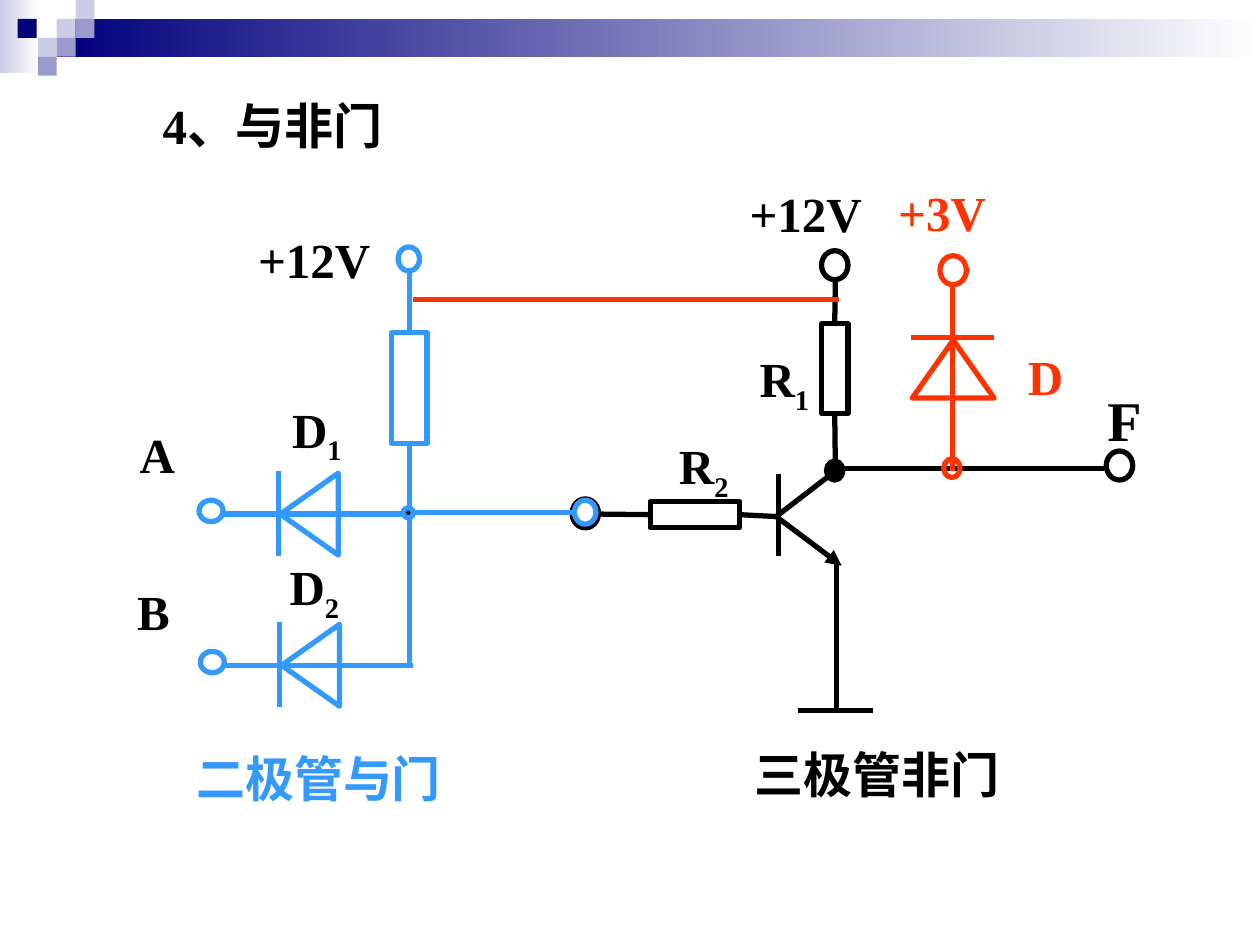
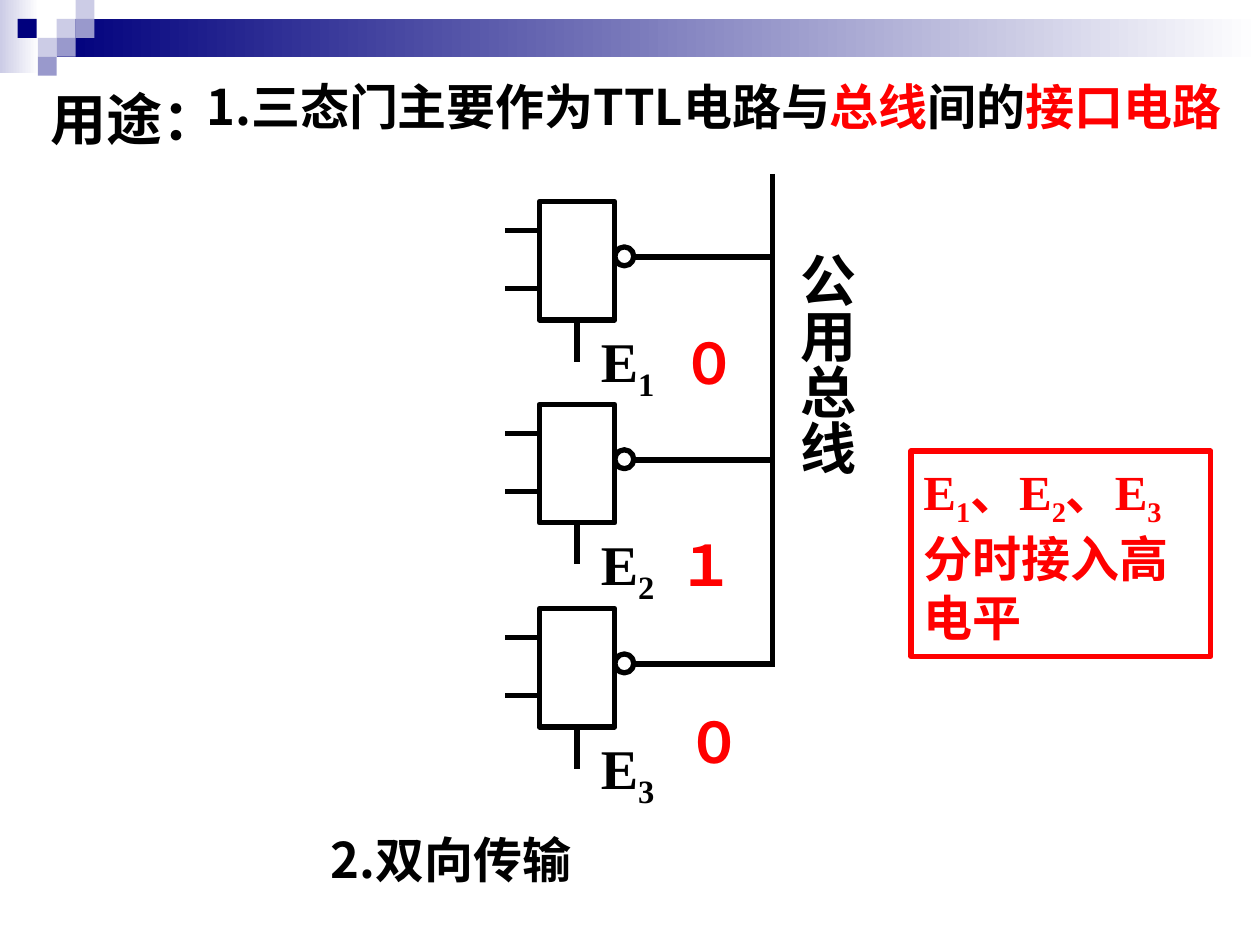
from lxml import etree
from pptx import Presentation
from pptx.dml.color import RGBColor
from pptx.enum.shapes import MSO_CONNECTOR, MSO_SHAPE
from pptx.enum.text import MSO_ANCHOR, MSO_AUTO_SIZE, PP_ALIGN
from pptx.oxml.ns import qn
from pptx.util import Inches, Pt

RECTANGLE, ELLIPSE, TRIANGLE = MSO_SHAPE.RECTANGLE, MSO_SHAPE.OVAL, MSO_SHAPE.ISOSCELES_TRIANGLE
STRAIGHT = MSO_CONNECTOR.STRAIGHT
TOP, MIDDLE = MSO_ANCHOR.TOP, MSO_ANCHOR.MIDDLE
LEFT, CENTER = PP_ALIGN.LEFT, PP_ALIGN.CENTER
FIXED = MSO_AUTO_SIZE.NONE
SIDE_TOP, SIDE_LEFT, SIDE_BOTTOM, SIDE_RIGHT = range(4)

COLORS = {
    "black": "000000", "white": "FFFFFF", "blue": "3399FF", "orange": "FF3300",
    "red": "FF0000", "navy": "00007D", "violet": "9999CC", "pale": "CCCCE6",
}
SERIF, SANS = "Times New Roman", "Noto Sans CJK SC"
SUB = "subscript"


def rgb(name):
    return RGBColor.from_string(COLORS[name])


class CircuitDeck:
    def __init__(self):
        self.presentation = Presentation()
        self.presentation.slide_width = Inches(10)
        self.presentation.slide_height = Inches(7.5)
        self.layout = self.presentation.slide_layouts[5]
        self.slide = None

    def new_slide(self):
        self.slide = self.presentation.slides.add_slide(self.layout)

    def shape(self, kind, box, line=None, fill=None, rotation=0):
        shape = self.slide.shapes.add_shape(kind, *map(Inches, box))
        shape.shadow.inherit = False
        shape.rotation = rotation
        if fill:
            shape.fill.solid()
            shape.fill.fore_color.rgb = rgb(fill)
        else:
            shape.fill.background()
        if line:
            shape.line.color.rgb = rgb(line)
            shape.line.width = Pt(3)
        else:
            shape.line.fill.background()
        return shape

    def fading_bar(self, box, color):
        bar = self.shape(RECTANGLE, box)
        bar.fill.gradient()
        bar.fill.gradient_angle = 0
        for stop, name in zip(bar.fill.gradient_stops, (color, "white")):
            stop.color.rgb = rgb(name)
        return bar

    def band(self):
        squares = [
            (0.45, 0.15, "pale"), (0.6, 0, "pale"), (0.6, 0.15, "violet"), (0.3, 0.3, "pale"),
            (0.14, 0.15, "navy"), (0.45, 0.3, "violet"), (0.3, 0.45, "violet"),
        ]
        pieces = [
            self.fading_bar((0, 0, 0.31, 0.58), "pale"),
            self.fading_bar((0.45, 0.15, 9.55, 0.3), "navy"),
        ]
        pieces += [self.shape(RECTANGLE, (x, y, 0.15, 0.15), fill=color) for x, y, color in squares]
        for number, piece in enumerate(pieces, 100):
            piece.element.xpath(".//p:cNvPr")[0].set("id", str(number))
            self.layout.shapes.element.append(piece.element)

    def wire(self, start, end, color="black", begin=None, finish=None, arrow=False):
        wire = self.slide.shapes.add_connector(STRAIGHT, *map(Inches, (*start, *end)))
        if begin:
            wire.begin_connect(*begin)
        if finish:
            wire.end_connect(*finish)
        wire.line.color.rgb = rgb(color)
        wire.line.width = Pt(3)
        properties = wire.element.spPr
        if arrow:
            etree.SubElement(properties.find(qn("a:ln")), qn("a:tailEnd"), type="triangle")
        etree.SubElement(properties, qn("a:effectLst"))

    def set_text(self, shape, runs, size, color, font=SERIF, align=LEFT, anchor=TOP, wrap=True):
        frame = shape.text_frame
        frame.auto_size = FIXED
        frame.word_wrap = wrap
        frame.vertical_anchor = anchor
        paragraph = frame.paragraphs[0]
        paragraph.alignment = align
        paragraph.font.name = font
        paragraph.font.size = Pt(size)
        paragraph.font.bold = True
        paragraph.font.color.rgb = rgb(color)
        defaults = shape.element.xpath(".//a:defRPr")[0]
        defaults.find(qn("a:latin")).addnext(defaults.makeelement(qn("a:ea"), typeface=SANS))
        for text, mark in [(runs, None)] if isinstance(runs, str) else runs:
            run = paragraph.add_run()
            run.text = text
            if mark == SUB:
                shape.element.xpath(".//a:r")[-1].get_or_add_rPr().set("baseline", "-25000")
            elif mark:
                run.font.color.rgb = rgb(mark)

    def title(self, box, text, size):
        title = self.slide.shapes.title
        title.left, title.top, title.width, title.height = map(Inches, box)
        self.set_text(title, text, size, "black")

    def text(self, box, runs, size=28, color="black", vertical=False, **style):
        shape = self.slide.shapes.add_textbox(*map(Inches, box))
        self.set_text(shape, runs, size, color, **style)
        if vertical:
            frame = shape.text_frame
            frame.margin_left = frame.margin_right = Inches(0.05)
            frame.margin_top = frame.margin_bottom = Inches(0.1)
            shape.element.txBody.bodyPr.set("vert", "eaVert")

    def terminal(self, x, y, width=0.21, height=0.23, color="black", fill=None):
        self.shape(ELLIPSE, (x, y, width, height), color, fill)

    def input_diode(self, x, y):
        self.wire((x + 0.63, y - 0.34), (x + 0.63, y + 0.33), "blue")
        self.shape(TRIANGLE, (x + 0.55, y - 0.23, 0.65, 0.46), "blue", rotation=270)
        self.wire((x + 0.19, y), (x + 1.69, y), "blue")
        self.terminal(x, y - 0.11, 0.19, 0.17, "blue")

    def tristate_gate(self, top, number):
        gate = self.shape(RECTANGLE, (4.28, top, 0.6, 0.94), "black")
        for offset in (0.23, 0.69):
            self.wire((4.01, top + offset), (4.28, top + offset))
        self.wire((5.03, top + 0.44), (6.15, top + 0.44))
        self.terminal(4.88, top + 0.36, 0.15, 0.15)
        self.wire((4.58, top + 0.94), (4.58, top + 1.27), begin=(gate, SIDE_BOTTOM))
        self.text((4.67, top + 0.94, 0.69, 0.71), [("E", None), (number, SUB)], 32)


def inverter_stage(deck):
    base = (6.16, 4.1)
    deck.wire((6.18, 3.76), (6.18, 4.41))
    deck.wire(base, (6.68, 4.49), arrow=True)
    deck.wire(base, (6.68, 3.7))
    deck.terminal(6.56, 3.66, 0.13, 0.15, fill="black")
    deck.wire((6.62, 3.72), (8.76, 3.72))
    deck.wire((6.64, 4.46), (6.64, 5.64))
    deck.wire((6.33, 5.64), (6.93, 5.64))
    load_resistor = deck.shape(RECTANGLE, (6.52, 2.57, 0.21, 0.71), "black")
    deck.wire((6.63, 3.28), (6.63, 3.72), begin=(load_resistor, SIDE_BOTTOM))
    deck.wire((6.63, 2.57), (6.63, 2.22), begin=(load_resistor, SIDE_TOP))
    base_resistor = deck.shape(RECTANGLE, (5.16, 3.98, 0.71, 0.21), "black")
    deck.wire((5.16, 4.08), (4.75, 4.08), begin=(base_resistor, SIDE_LEFT))
    deck.wire(base, (5.87, 4.1), finish=(base_resistor, SIDE_RIGHT))
    for x, y in [(4.54, 3.96), (8.78, 3.58), (6.52, 1.99)]:
        deck.terminal(x, y)
    deck.text((5.93, 2.72, 0.65, 0.63), [("R", None), ("1", SUB)])
    deck.text((5.29, 3.41, 0.65, 0.63), [("R", None), ("2", SUB)])
    deck.text((8.69, 3.01, 0.66, 0.64), "F", 32)
    deck.text((5.85, 1.41, 1.25, 0.57), "+12V")
    deck.text((5.89, 5.86, 2.67, 0.57), "三极管非门")


def clamp_diode(deck):
    deck.wire((7.89, 2.68), (7.23, 2.68), "orange")
    deck.shape(TRIANGLE, (7.24, 2.7, 0.65, 0.46), "orange")
    deck.wire((7.56, 2.24), (7.56, 3.74), "orange")
    deck.terminal(7.49, 3.64, 0.13, 0.15, "orange")
    deck.terminal(7.46, 2.03, color="orange")
    deck.text((8.06, 2.7, 0.52, 0.57), "D", color="orange")
    deck.text((7.03, 1.4, 1.25, 0.57), "+3V", color="orange")


def diode_and_stage(deck):
    deck.input_diode(1.59, 5.28)
    deck.input_diode(1.58, 4.08)
    deck.wire((3.22, 4.07), (4.58, 4.07), "blue")
    resistor = deck.shape(RECTANGLE, (3.11, 2.64, 0.28, 0.88), "blue")
    deck.wire((3.25, 5.27), (3.25, 3.52), "blue", finish=(resistor, SIDE_BOTTOM))
    deck.wire((3.25, 2.64), (3.25, 2.14), "blue", begin=(resistor, SIDE_TOP))
    deck.terminal(3.16, 1.96, 0.17, 0.19, "blue")
    deck.terminal(3.2, 4.03, 0.08, 0.08, "blue", "black")
    deck.terminal(4.56, 3.97, 0.17, 0.19, "blue")
    deck.text((2.22, 3.12, 0.69, 0.63), [("D", None), ("1", SUB)])
    deck.text((2.2, 4.37, 0.69, 0.63), [("D", None), ("2", SUB)])
    deck.text((1.01, 3.32, 0.6, 0.57), "A")
    deck.text((0.99, 4.57, 0.6, 0.57), "B")
    deck.text((1.95, 1.77, 1.44, 0.57), "+12V")
    deck.text((1.46, 5.89, 2.63, 0.57), "二极管与门", color="blue")


def nand_slide(deck):
    deck.new_slide()
    deck.band()
    deck.title((1.19, 0.71, 4.04, 0.57), "4、与非门", 28)
    inverter_stage(deck)
    clamp_diode(deck)
    diode_and_stage(deck)
    deck.wire((3.28, 2.38), (6.66, 2.38), "orange")


def bus_slide(deck):
    deck.new_slide()
    deck.title((0.3, 0.62, 1.21, 0.64), "用途：", 32)
    for top, number in [(1.6, "1"), (3.21, "2"), (4.83, "3")]:
        deck.tristate_gate(top, number)
    deck.wire((6.13, 1.38), (6.13, 5.29))
    deck.text((6.15, 1.9, 0.73, 2.08), "公用总线", 32, vertical=True)
    for x, y, level in [(5.31, 2.56, "０"), (5.29, 4.16, "１"), (5.35, 5.57, "０")]:
        deck.text((x, y, 0.7, 0.64), level, 32, "red")
    deck.text((1.54, 0.56, 8.46, 1.04), [
        ("1.三态门主要作为TTL电路与", None), ("总线", "red"), ("间的", None), ("接口电路", "red"),
    ], font=SANS)
    note = deck.shape(RECTANGLE, (7.23, 3.58, 2.38, 1.63), "red")
    deck.set_text(note, [
        ("E", None), ("1", SUB), ("、E", None), ("2", SUB), ("、E", None), ("3", SUB),
        ("分时接入高电平", None),
    ], 28, "red", anchor=MIDDLE)
    deck.text((2.48, 6.53, 2.2, 0.57), "2.双向传输", font=SANS, align=CENTER, anchor=MIDDLE, wrap=False)


def main():
    deck = CircuitDeck()
    nand_slide(deck)
    bus_slide(deck)
    deck.presentation.save("out.pptx")


if __name__ == "__main__":
    main()
